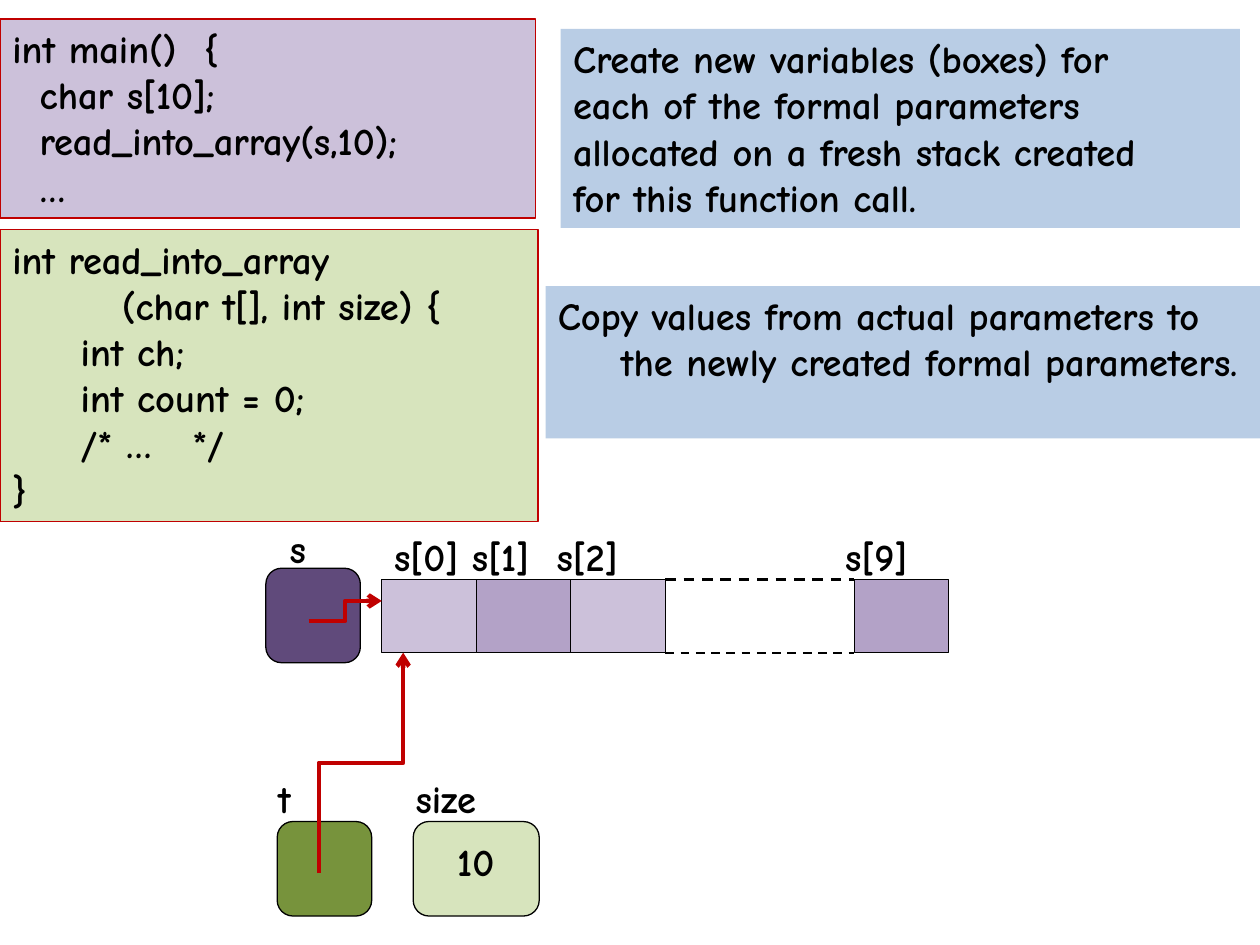
from lxml.etree import SubElement
from pptx import Presentation
from pptx.dml.color import RGBColor
from pptx.enum.dml import MSO_LINE
from pptx.enum.shapes import MSO_CONNECTOR, MSO_SHAPE
from pptx.enum.text import MSO_ANCHOR, PP_ALIGN
from pptx.oxml.ns import qn
from pptx.util import Emu, Inches, Pt

FONT, SIZE = "Comic Neue", 22
BLACK, RED, BLUE = "000000", "C00000", "B9CDE5"
LILAC, MAUVE, PURPLE = "CCC1DA", "B3A2C7", "604A7B"
LIME, GREEN = "D7E4BD", "77933C"

PANELS = [
    ((4.45, 0.23, 5.39, 1.58), BLUE, None, 0.5, [
        "Create new variables (boxes) for",
        "each of the formal parameters",
        "allocated on a fresh stack created",
        "for this function call."]),
    ((0, 0.15, 4.25, 1.58), LILAC, RED, 0, [
        "int main()  {",
        "  char s[10];",
        "  read_into_array(s,10);",
        "  …"]),
    ((0, 1.82, 4.27, 2.32), LIME, RED, 0, [
        "int read_into_array",
        "        (char t[], int size) {",
        "     int ch;",
        "     int count = 0;",
        "     /* …   */",
        "}"]),
    ((4.33, 2.27, 5.67, 1.21), BLUE, None, 0.5, [
        "Copy values from actual parameters to the newly created formal parameters."]),
]

ARRAY_X, ARRAY_Y, CELL_W, CELL_H = 3.03, 4.6, 0.75, 0.58
CELLS = [(0, LILAC), (1, MAUVE), (2, LILAC), (5, MAUVE)]
GAP = (3, 5)
DASHES = [(0, 1.5), (1, 1.25)]

VARIABLES = [
    ((2.11, 4.51, 0.75, 0.75), PURPLE),
    ((2.2, 6.52, 0.75, 0.75), GREEN),
    ((3.28, 6.52, 1, 0.75), LIME),
]
LABELS = [
    ("s[0] s[1]  s[2]", 3.03, 4.18, 2.58),
    ("s[9]", 6.61, 4.18, 0.77),
    ("s", 2.2, 4.12, 0.35),
    ("t", 2.11, 6.1, 0.35),
    ("size", 3.2, 6.1, 0.91),
    ("10", 3.53, 6.6, 0.58),
]
POINTERS = [
    ((2.45, 4.93), (ARRAY_X, 4.77), False),
    ((2.53, 6.93), (3.2, ARRAY_Y + CELL_H), True),
]


def rgb(color):
    return RGBColor.from_string(color)


def write(sp, lines, hang=0):
    tf = sp.text_frame
    tf.word_wrap = True
    tf.vertical_anchor = MSO_ANCHOR.TOP
    for i, line in enumerate(lines):
        p = tf.paragraphs[0] if i == 0 else tf.add_paragraph()
        p.alignment = PP_ALIGN.LEFT
        if hang:
            pPr = p._p.get_or_add_pPr()
            pPr.set("marL", str(Inches(hang)))
            pPr.set("indent", str(-Inches(hang)))
        r = p.add_run()
        r.text = line
        r.font.name, r.font.size, r.font.bold = FONT, Pt(SIZE), True
        r.font.color.rgb = rgb(BLACK)


def add_box(s, box, fill, line=BLACK, kind=MSO_SHAPE.RECTANGLE):
    sp = s.shapes.add_shape(kind, *map(Inches, box))
    sp.shadow.inherit = False
    sp.fill.solid()
    sp.fill.fore_color.rgb = rgb(fill)
    if line:
        sp.line.color.rgb = rgb(line)
        sp.line.width = Pt(0.75)
    else:
        sp.line.fill.background()
    return sp


def add_line(s, kind, start, end, color, width):
    cx = s.shapes.add_connector(kind, *map(Inches, start + end))
    cx.line.color.rgb = rgb(color)
    cx.line.width = Pt(width)
    SubElement(cx._element.spPr, qn("a:effectLst"))
    return cx


def add_pointer(s, start, end, upright):
    (x1, y1), (x2, y2) = start, end
    if upright:
        mx, my = (x1 + x2) / 2, (y1 + y2) / 2
        half_w, half_h = (y1 - y2) / 2, (x2 - x1) / 2
        start, end = (mx + half_w, my + half_h), (mx - half_w, my - half_h)
    cx = add_line(s, MSO_CONNECTOR.ELBOW, start, end, RED, 2.5)
    if upright:
        cx._element.spPr.find(qn("a:xfrm")).set("rot", str(90 * 60000))
    SubElement(cx.line._get_or_add_ln(), qn("a:tailEnd"), type="arrow")


def main():
    prs = Presentation()
    prs.slide_width, prs.slide_height = Inches(10), Inches(7.5)
    s = prs.slides.add_slide(prs.slide_layouts[6])

    for box, fill, line, hang, lines in PANELS:
        write(add_box(s, box, fill, line), lines, hang)

    for col, fill in CELLS:
        add_box(s, (ARRAY_X + col * CELL_W, ARRAY_Y, CELL_W, CELL_H), fill)
    left, right = (ARRAY_X + col * CELL_W for col in GAP)
    for row, width in DASHES:
        y = ARRAY_Y + row * CELL_H
        cx = add_line(s, MSO_CONNECTOR.STRAIGHT, (left, y), (right, y), BLACK, width)
        cx.line.dash_style = MSO_LINE.DASH

    for box, fill in VARIABLES:
        add_box(s, box, fill, kind=MSO_SHAPE.ROUNDED_RECTANGLE)
    for text, x, y, w in LABELS:
        write(s.shapes.add_textbox(*map(Inches, (x, y, w, 0.47))), [text])
    for start, end, upright in POINTERS:
        add_pointer(s, start, end, upright)

    prs.save("out.pptx")


if __name__ == "__main__":
    main()
